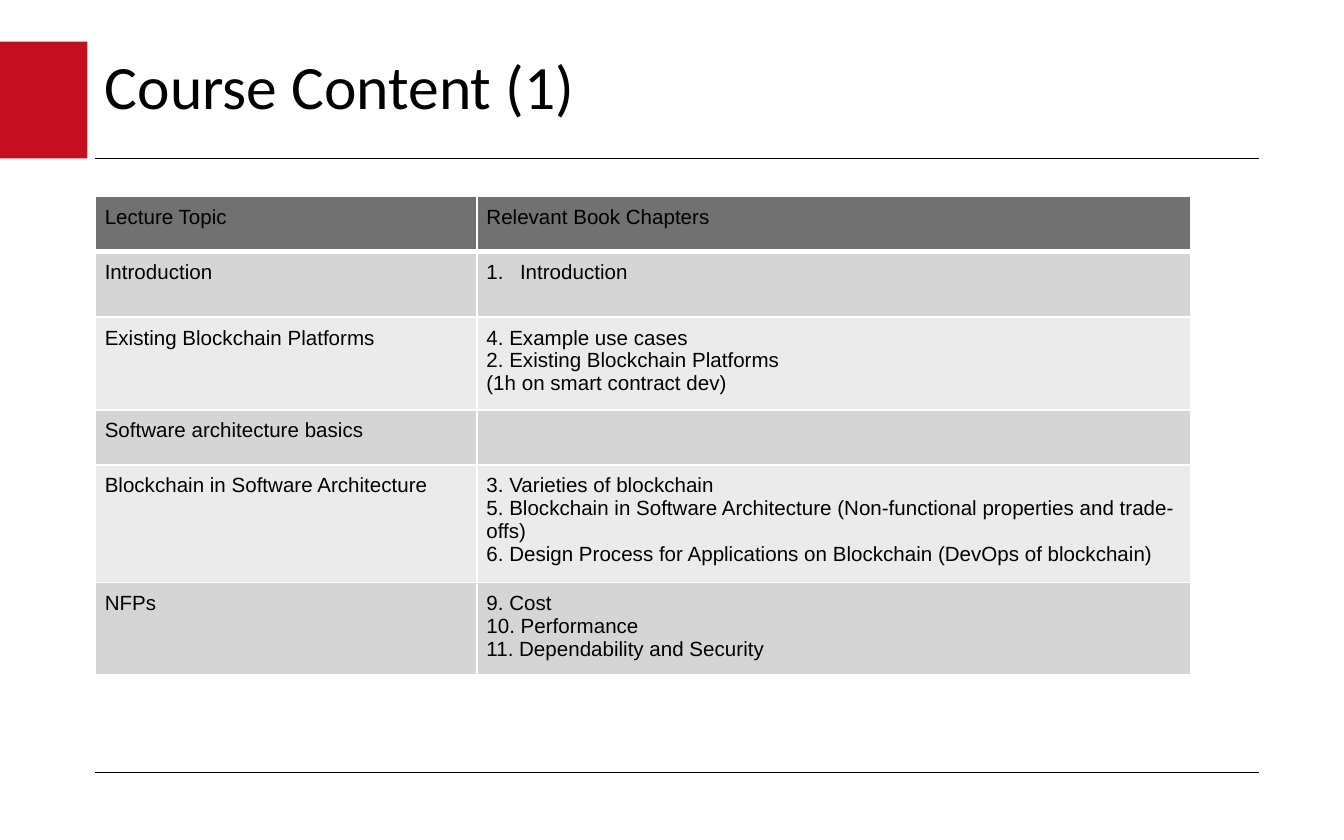
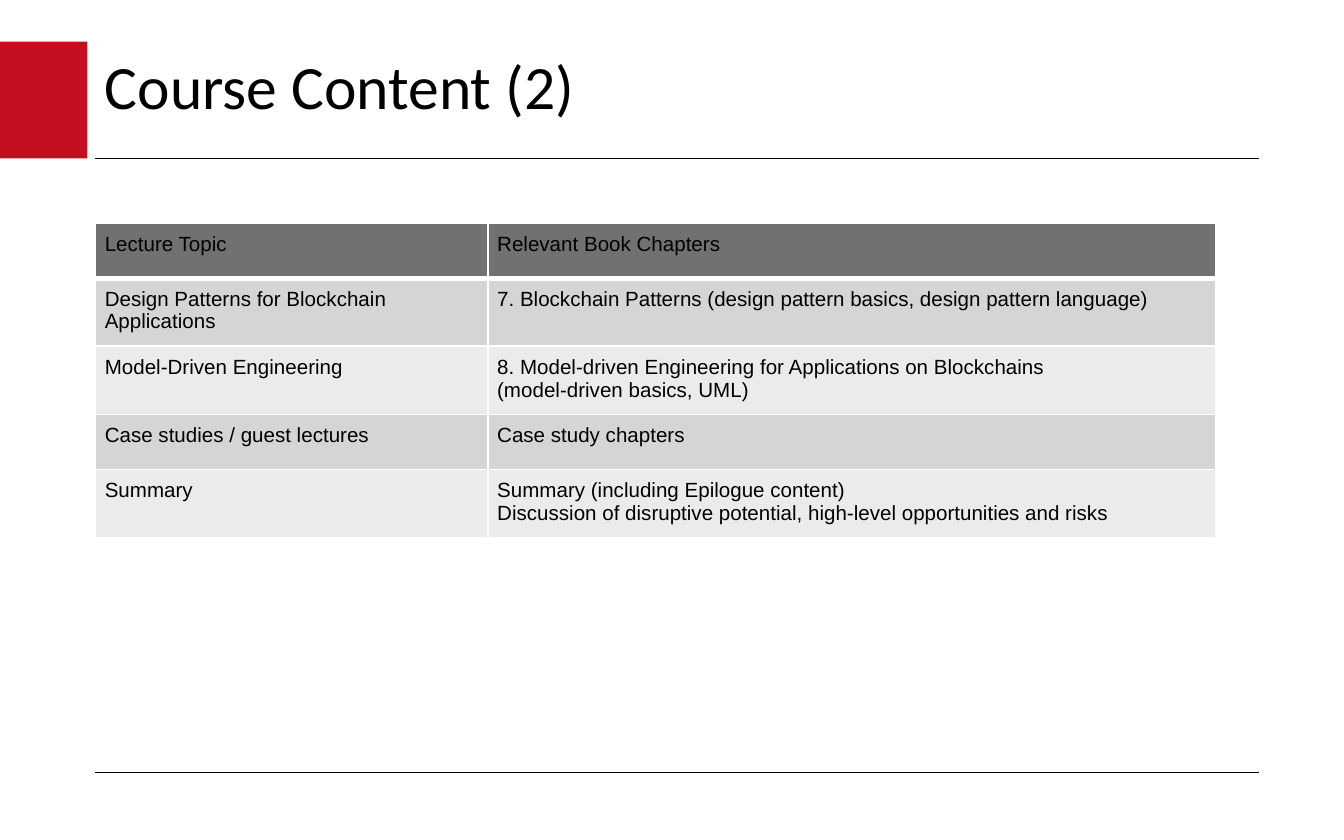
from dataclasses import dataclass

from lxml import etree
from pptx import Presentation
from pptx.dml.color import RGBColor
from pptx.enum.shapes import MSO_CONNECTOR, MSO_SHAPE
from pptx.enum.text import MSO_ANCHOR
from pptx.oxml.ns import qn
from pptx.util import Inches, Pt

RECTANGLE = MSO_SHAPE.RECTANGLE
STRAIGHT = MSO_CONNECTOR.STRAIGHT
MIDDLE = MSO_ANCHOR.MIDDLE
BLANK_LAYOUT = 6


@dataclass(frozen=True)
class Theme:
    accent: str = "C50E1F"
    ink: str = "000000"
    grid: str = "FFFFFF"
    header: str = "717171"
    bands: tuple = ("D5D5D5", "EBEBEB")
    title_font: str = "Calibri"
    body_font: str = "Arial"
    title_size: float = 33
    body_size: float = 11
    rule_width: float = 0.75
    grid_width: float = 1
    header_rule_width: float = 3
    left: float = 0.71
    right: float = 9.37
    inset: float = 0.07


THEME = Theme()
ROW_HEIGHT = 0.41
HEADINGS = ("Lecture Topic", ["Relevant Book Chapters"])
NUMBERED = "1."

LECTURES = [
    {
        "title": "Course Content (1)",
        "top": 1.46,
        "height": 3.56,
        "columns": (2.84, 5.31),
        "row_heights": {1: 0.49},
        "topics": [
            ("Introduction", [(NUMBERED, "Introduction")]),
            ("Existing Blockchain Platforms",
             ["4. Example use cases",
              "2. Existing Blockchain Platforms",
              "(1h on smart contract dev)"]),
            ("Software architecture basics", [""]),
            ("Blockchain in Software Architecture",
             ["3. Varieties of blockchain",
              "5. Blockchain in Software Architecture "
              "(Non-functional properties and trade-offs)",
              "6. Design Process for Applications on Blockchain "
              "(DevOps of blockchain)"]),
            ("NFPs", ["9. Cost", "10. Performance\n11. Dependability and Security"]),
        ],
    },
    {
        "title": "Course Content (2)",
        "top": 1.66,
        "height": 2.33,
        "columns": (2.92, 5.42),
        "row_heights": {},
        "topics": [
            ("Design Patterns for Blockchain Applications",
             ["7. Blockchain Patterns (design pattern basics, design pattern language)"]),
            ("Model-Driven Engineering",
             ["8. Model-driven Engineering for Applications on Blockchains",
              "(model-driven basics, UML)"]),
            ("Case studies / guest lectures", ["Case study chapters"]),
            ("Summary",
             ["Summary (including Epilogue content)",
              "Discussion of disruptive potential, high-level opportunities and risks"]),
        ],
    },
]


def color(value):
    return RGBColor.from_string(value)


def apply_format(target, values):
    for attribute, value in values.items():
        setattr(target, attribute, value)


def style_text(paragraph, font, size):
    for run in paragraph.runs:
        apply_format(run.font, {"name": font, "size": Pt(size), "bold": False})
        run.font.color.rgb = color(THEME.ink)
    hundredths = str(int(size * 100))
    for line_break in paragraph._p.findall(qn("a:br")):
        etree.SubElement(line_break, qn("a:rPr"), sz=hundredths)
    if not paragraph.runs:
        etree.SubElement(paragraph._p, qn("a:endParaRPr"), sz=hundredths)


def add_band(slide):
    band = slide.shapes.add_shape(
        RECTANGLE, 0, Inches(0.31), Inches(0.65), Inches(0.87))
    band.shadow.inherit = False
    band.fill.solid()
    band.fill.fore_color.rgb = color(THEME.accent)
    band.line.fill.background()


def add_rule(slide, y):
    rule = slide.shapes.add_connector(
        STRAIGHT, Inches(THEME.left), Inches(y), Inches(THEME.right), Inches(y))
    rule.line.color.rgb = color(THEME.ink)
    rule.line.width = Pt(THEME.rule_width)
    etree.SubElement(rule._element.spPr, qn("a:effectLst"))


def add_title(slide, text):
    title = slide.shapes.add_textbox(
        Inches(THEME.left), Inches(0.31),
        Inches(THEME.right - THEME.left), Inches(0.71))
    frame = title.text_frame
    apply_format(frame, {
        "word_wrap": True,
        "vertical_anchor": MIDDLE,
        "margin_left": Inches(THEME.inset),
        "margin_right": Inches(THEME.inset),
    })
    paragraph = frame.paragraphs[0]
    apply_format(paragraph, {"text": text, "line_spacing": 0.9})
    style_text(paragraph, THEME.title_font, THEME.title_size)


def add_number(paragraph):
    properties = paragraph._p.get_or_add_pPr()
    properties.set("marL", str(Inches(0.25)))
    properties.set("indent", str(Inches(-0.25)))
    etree.SubElement(properties, qn("a:buAutoNum"), type="arabicPeriod")


def set_borders(cell, row):
    widths = dict.fromkeys(("lnL", "lnR", "lnT", "lnB"), THEME.grid_width)
    if row < 2:
        widths["lnT" if row else "lnB"] = THEME.header_rule_width
    properties = cell._tc.get_or_add_tcPr()
    for side, width in widths.items():
        border = etree.SubElement(properties, qn(f"a:{side}"), w=str(Pt(width)))
        fill = etree.SubElement(border, qn("a:solidFill"))
        etree.SubElement(fill, qn("a:srgbClr"), val=THEME.grid)


def fill_cell(cell, row, lines):
    margins = ("margin_left", "margin_top", "margin_right", "margin_bottom")
    apply_format(cell, dict.fromkeys(margins, Inches(THEME.inset)))
    set_borders(cell, row)
    cell.fill.solid()
    cell.fill.fore_color.rgb = color(
        THEME.bands[(row - 1) % 2] if row else THEME.header)
    frame = cell.text_frame
    for index, line in enumerate(lines):
        paragraph = frame.add_paragraph() if index else frame.paragraphs[0]
        if isinstance(line, tuple):
            add_number(paragraph)
            line = line[1]
        paragraph.text = line
        style_text(paragraph, THEME.body_font, THEME.body_size)


def add_topics(slide, lecture):
    rows = [HEADINGS, *lecture["topics"]]
    columns = lecture["columns"]
    holder = slide.shapes.add_table(
        len(rows), len(columns), Inches(THEME.left), Inches(lecture["top"]),
        Inches(sum(columns)), Inches(lecture["height"]))
    topics = holder.table
    for column, width in zip(topics.columns, columns):
        column.width = Inches(width)
    for row, (topic, chapters) in enumerate(rows):
        topics.rows[row].height = Inches(lecture["row_heights"].get(row, ROW_HEIGHT))
        fill_cell(topics.cell(row, 0), row, [topic])
        fill_cell(topics.cell(row, 1), row, chapters)
    holder.height = Inches(lecture["height"])


def main():
    deck = Presentation()
    apply_format(deck, {"slide_width": Inches(10), "slide_height": Inches(6.25)})
    for lecture in LECTURES:
        slide = deck.slides.add_slide(deck.slide_layouts[BLANK_LAYOUT])
        add_band(slide)
        for y in (1.18, 5.75):
            add_rule(slide, y)
        add_title(slide, lecture["title"])
        add_topics(slide, lecture)
    deck.save("out.pptx")


if __name__ == "__main__":
    main()
